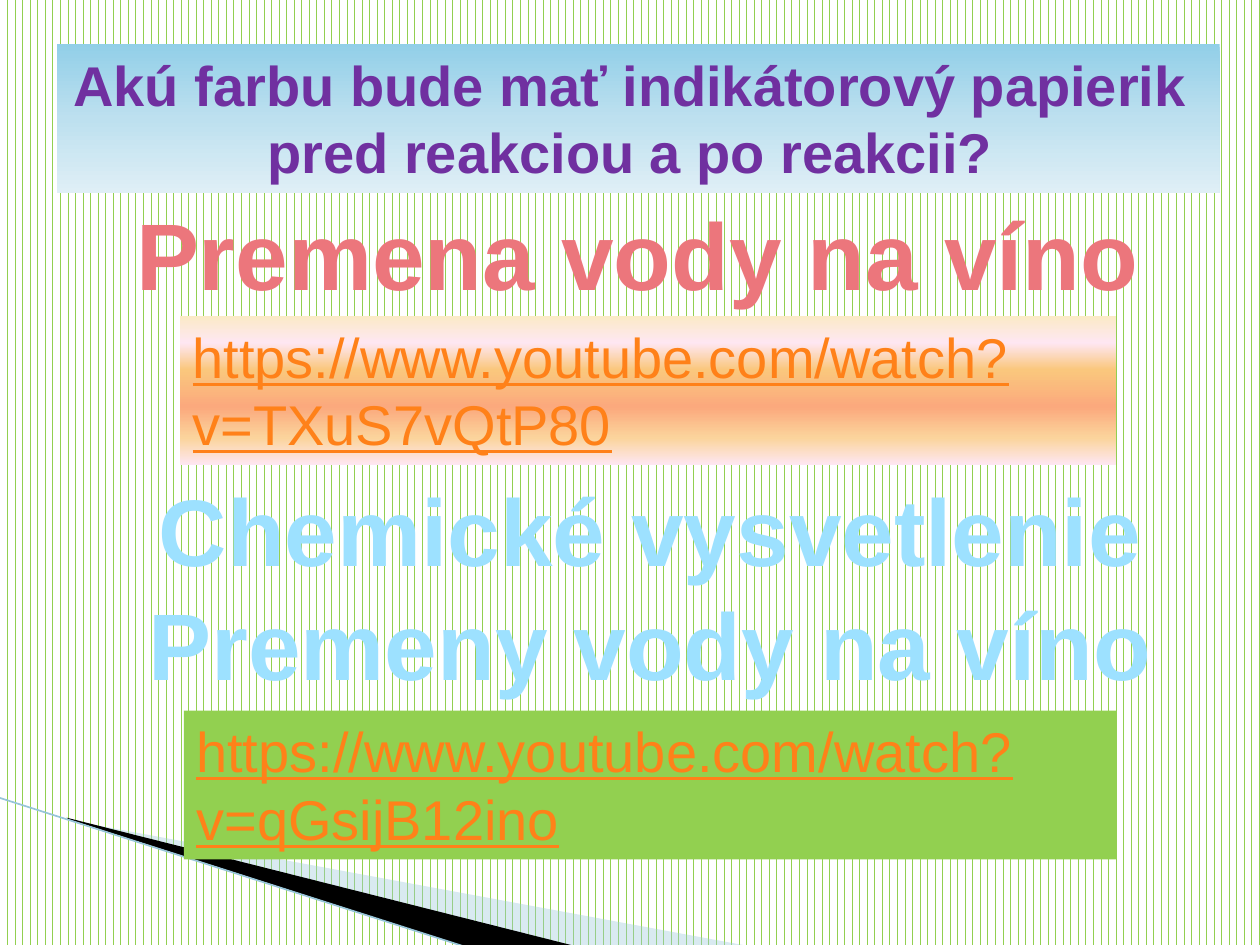
from lxml.etree import SubElement
from pptx import Presentation
from pptx.dml.color import RGBColor
from pptx.enum.dml import MSO_PATTERN
from pptx.enum.shapes import MSO_CONNECTOR, MSO_SHAPE
from pptx.enum.text import MSO_ANCHOR, MSO_AUTO_SIZE, PP_ALIGN
from pptx.oxml.ns import qn
from pptx.util import Inches, Pt

FONT = "Arial"
COLORS = {
    "stripe": "92D050",
    "white": "FFFFFF",
    "pale wedge": "A0CBDC",
    "black": "000000",
    "edge": "97C5D8",
    "link": "FF8119",
    "wine": "EC767C",
    "water": "9DE1FF",
    "question": "7030A0",
}
QUESTION_GRADIENT = [(0, "92CFE8"), (50, "BDE0EF"), (100, "DFEFF6")]
LINK_GRADIENT = [(0, "FBEAC7"), (18, "FEE7F2"), (36, "FAC77D"),
                 (61, "FBA97D"), (82, "FBD49C"), (100, "FEE7F2")]


def rgb(name):
    return RGBColor.from_string(COLORS[name])


def fill_solid(shape, color):
    shape.fill.solid()
    shape.fill.fore_color.rgb = rgb(color)


def fill_gradient(shape, stops):
    shape.fill.gradient()
    gradient = shape._element.spPr.find(qn("a:gradFill"))
    stop_list = gradient.find(qn("a:gsLst"))
    for stop in list(stop_list):
        stop_list.remove(stop)
    for position, color in stops:
        stop = SubElement(stop_list, qn("a:gs"), pos=str(position * 1000))
        SubElement(stop, qn("a:srgbClr"), val=color)
    gradient.find(qn("a:lin")).set("ang", str(90 * 60000))


def write_text(shape, lines, size, color, alignment=PP_ALIGN.CENTER,
               wrap=False, bold=True, underline=False):
    frame = shape.text_frame
    frame.word_wrap = wrap
    frame.auto_size = MSO_AUTO_SIZE.SHAPE_TO_FIT_TEXT
    frame.vertical_anchor = MSO_ANCHOR.TOP
    for index, line in enumerate(lines):
        paragraph = frame.add_paragraph() if index else frame.paragraphs[0]
        paragraph.alignment = alignment
        run = paragraph.add_run()
        run.text = line
        run.font.name = FONT
        run.font.size = Pt(size)
        run.font.bold = bold
        run.font.underline = underline
        run.font.color.rgb = rgb(color)


def add_wedge(slide, points, color, opacity=100):
    corners = [(Inches(x), Inches(y)) for x, y in points]
    builder = slide.shapes.build_freeform(*corners[0])
    builder.add_line_segments(corners[1:])
    shape = builder.convert_to_shape()
    shape.shadow.inherit = False
    shape.line.fill.background()
    fill_solid(shape, color)
    if opacity < 100:
        solid = shape._element.spPr.find(qn("a:solidFill"))
        SubElement(solid[0], qn("a:alpha"), val=str(opacity * 1000))


def add_edge(slide):
    edge = slide.shapes.add_connector(
        MSO_CONNECTOR.STRAIGHT, Inches(-0.01), Inches(6.33), Inches(3.71), Inches(7.52))
    edge.line.color.rgb = rgb("edge")
    edge.line.width = Pt(0.95)
    SubElement(edge._element.spPr, qn("a:effectLst"))


def add_link_box(slide, left, top, width, address):
    box = slide.shapes.add_shape(
        MSO_SHAPE.RECTANGLE, Inches(left), Inches(top), Inches(width), Inches(1.18))
    box.shadow.inherit = False
    box.line.fill.background()
    write_text(box, [address], 32, "link", PP_ALIGN.LEFT,
               wrap=True, bold=False, underline=True)
    return box


def add_heading(slide, left, top, height, lines, color):
    box = slide.shapes.add_textbox(Inches(left), Inches(top), Inches(8.24), Inches(height))
    write_text(box, lines, 54, color)


def place_title(title):
    title.left, title.top = Inches(0.45), Inches(0.35)
    title.width, title.height = Inches(9.23), Inches(1.18)
    fill_gradient(title, QUESTION_GRADIENT)
    write_text(title, ["Akú farbu bude mať indikátorový papierik ",
                       "pred reakciou a po reakcii? "], 32, "question")


def main():
    presentation = Presentation()
    presentation.slide_width = Inches(10)
    presentation.slide_height = Inches(7.5)
    slide = presentation.slides.add_slide(presentation.slide_layouts[5])

    background = slide.background.fill
    background.patterned()
    background.pattern = MSO_PATTERN.DASHED_VERTICAL
    background.fore_color.rgb = rgb("stripe")
    background.back_color.rgb = rgb("white")

    add_wedge(slide, [(0.55, 6.51), (5.95, 7.51), (4.56, 7.51), (0.55, 6.5)],
              "pale wedge", 40)
    add_wedge(slide, [(0.53, 6.49), (4.57, 7.51), (3.72, 7.52), (0.54, 6.5)], "black")
    add_edge(slide)

    explanation = add_link_box(slide, 1.46, 5.64, 7.4,
                               "https://www.youtube.com/watch?v=qGsijB12ino")
    fill_solid(explanation, "stripe")
    experiment = add_link_box(slide, 1.43, 2.51, 7.43,
                              "https://www.youtube.com/watch?v=TXuS7vQtP80")
    fill_gradient(experiment, LINK_GRADIENT)

    add_heading(slide, 0.94, 1.51, 1.01, ["Premena vody na víno"], "wine")
    add_heading(slide, 1.04, 3.7, 1.92,
                ["Chemické vysvetlenie", "Premeny vody na víno"], "water")
    place_title(slide.shapes.title)

    presentation.save("out.pptx")


if __name__ == "__main__":
    main()
